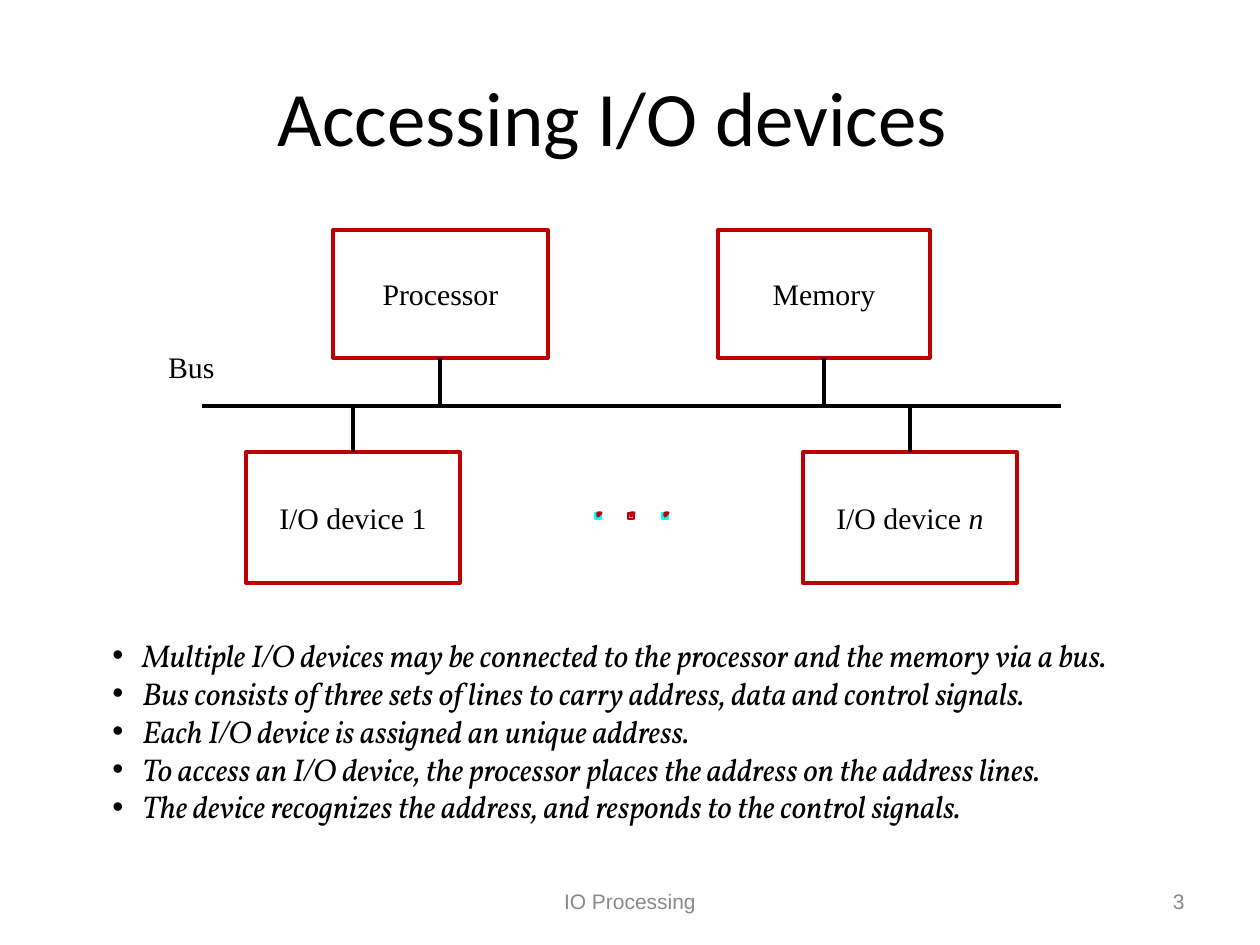
from lxml.etree import SubElement
from pptx import Presentation
from pptx.dml.color import RGBColor
from pptx.enum.shapes import MSO_CONNECTOR, MSO_SHAPE
from pptx.enum.text import MSO_ANCHOR, PP_ALIGN
from pptx.oxml.ns import qn
from pptx.util import Pt

EMU_PER_PX = 914400 / 126
COLORS = {
    "black": "000000",
    "red": "C00000",
    "cyan": "00FFFF",
    "gray": "898989",
}
LINE_WIDTH = Pt(1.87)


def px(length):
    return round(length * EMU_PER_PX)


def color(name):
    return RGBColor.from_string(COLORS[name])


def add_run(paragraph, text, font, size, color_name="black", italic=False):
    run = paragraph.add_run()
    run.text = text
    run.font.name = font
    run.font.size = Pt(size)
    run.font.italic = italic
    run.font.color.rgb = color(color_name)


def add_textbox(slide, box, anchor=MSO_ANCHOR.TOP, wrap=True):
    shape = slide.shapes.add_textbox(*map(px, box))
    shape.text_frame.word_wrap = wrap
    shape.text_frame.vertical_anchor = anchor
    return shape.text_frame


def add_line(slide, start, end):
    connector = slide.shapes.add_connector(
        MSO_CONNECTOR.STRAIGHT, *map(px, (*start, *end)))
    connector.line.color.rgb = color("black")
    connector.line.width = LINE_WIDTH
    SubElement(connector._element.spPr, qn("a:effectLst"))


def add_outline(slide, points, fill, line, width):
    builder = slide.shapes.build_freeform(*points[0], scale=EMU_PER_PX)
    builder.add_line_segments(points[1:], close=True)
    shape = builder.convert_to_shape()
    shape.shadow.inherit = False
    shape.fill.solid()
    shape.fill.fore_color.rgb = color(fill)
    shape.line.color.rgb = color(line)
    shape.line.width = width


def add_single_line(slide, box, text, font, size, alignment, color_name="black"):
    frame = add_textbox(slide, box, MSO_ANCHOR.MIDDLE)
    frame.paragraphs[0].alignment = alignment
    add_run(frame.paragraphs[0], text, font, size, color_name)


def add_unit(slide, box, parts):
    """Outlined box with a centred label made of (text, italic) parts."""
    shape = slide.shapes.add_shape(MSO_SHAPE.RECTANGLE, *map(px, box))
    shape.shadow.inherit = False
    shape.fill.background()
    shape.line.color.rgb = color("red")
    shape.line.width = LINE_WIDTH
    shape.text_frame.vertical_anchor = MSO_ANCHOR.MIDDLE
    paragraph = shape.text_frame.paragraphs[0]
    paragraph.alignment = PP_ALIGN.CENTER
    for text, italic in parts:
        add_run(paragraph, text, "Times New Roman", 17, italic=italic)


def add_ellipsis(slide, left, top):
    """Three small marks standing for the devices in between."""
    for offset, edge in ((0, "cyan"), (33, "red"), (67, "cyan")):
        x = left + offset
        square = [(x, top), (x + 6, top), (x + 6, top + 6), (x, top + 6)]
        add_outline(slide, square, "cyan", edge, 0)
        corner = [(x + 3, top), (x + 3, top + 3), (x + 6, top)]
        add_outline(slide, corner, "red", "red", LINE_WIDTH)


def add_bus_diagram(slide, box):
    left, top, width, height = box
    bus_y = top + 176

    # Bus line and its label
    add_line(slide, (left + 34, bus_y), (left + width, bus_y))
    frame = add_textbox(slide, (left, top + 119, 47, 35), wrap=False)
    frame.margin_left = frame.margin_right = 0
    frame.margin_top = frame.margin_bottom = 0
    add_run(frame.paragraphs[0], "Bus", "Times New Roman", 17)

    # Units, each joined to the bus by a stem from its middle
    upper_height, lower_height = 128, 131
    lower_top = height - lower_height
    units = [
        (165, 0, 215, upper_height, [("Processor", False)]),
        (550, 0, 212, upper_height, [("Memory", False)]),
        (78, lower_top, 214, lower_height, [("I/O device 1", False)]),
        (635, lower_top, 214, lower_height, [("I/O device ", False), ("n", True)]),
    ]
    for x, y, unit_width, unit_height, parts in units:
        unit_top = top + y
        add_unit(slide, (left + x, unit_top, unit_width, unit_height), parts)
        middle = left + x + unit_width // 2
        edge_y = unit_top + unit_height if unit_top < bus_y else unit_top
        add_line(slide, (middle, edge_y), (middle, bus_y))

    add_ellipsis(slide, left + 427, top + 283)


def add_bullets(slide, box, lines):
    frame = add_textbox(slide, box)
    for index, line in enumerate(lines):
        paragraph = frame.paragraphs[0] if index == 0 else frame.add_paragraph()
        properties = paragraph._p.get_or_add_pPr()
        properties.set("marL", str(px(30)))
        properties.set("indent", str(-px(30)))
        bullet_color = SubElement(properties, qn("a:buClr"))
        SubElement(bullet_color, qn("a:srgbClr"), val=COLORS["black"])
        SubElement(properties, qn("a:buFont"), typeface="Arial")
        SubElement(properties, qn("a:buChar"), char="•")
        add_run(paragraph, line, "Vollkorn", 18, italic=True)


def add_footer(slide, box):
    left, top, width, height = box
    add_single_line(slide, (left, top, 400, height), "IO Processing",
                    "Arial", 12, PP_ALIGN.CENTER, "gray")
    add_single_line(slide, (left + width - 294, top, 294, height), "3",
                    "Arial", 12, PP_ALIGN.RIGHT, "gray")


def main():
    presentation = Presentation()
    presentation.slide_width = px(1260)
    presentation.slide_height = px(945)
    slide = presentation.slides.add_slide(presentation.slide_layouts[6])

    add_single_line(slide, (41, 53, 1144, 126), "Accessing I/O devices",
                    "Calibri", 44, PP_ALIGN.CENTER)
    add_bus_diagram(slide, (168, 230, 893, 353))
    add_bullets(slide, (100, 630, 1078, 315), [
        "Multiple I/O devices may be connected to the processor and the memory via a bus.",
        "Bus consists of three sets of lines to carry address, data and control signals.",
        "Each I/O device is assigned an unique address.",
        "To access an I/O device, the processor places the address on the address lines.",
        "The device recognizes the address, and responds to the control signals.",
    ])
    add_footer(slide, (430, 876, 767, 50))

    presentation.save("out.pptx")


if __name__ == "__main__":
    main()
